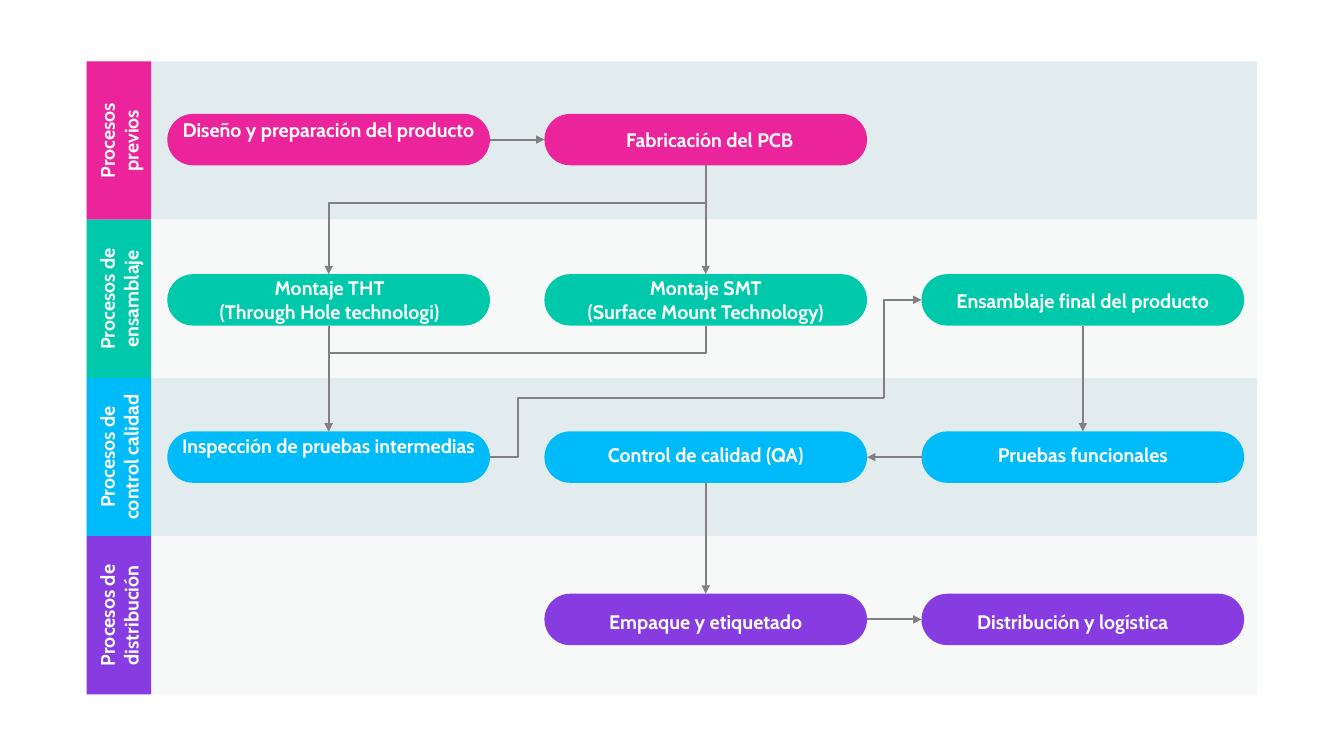
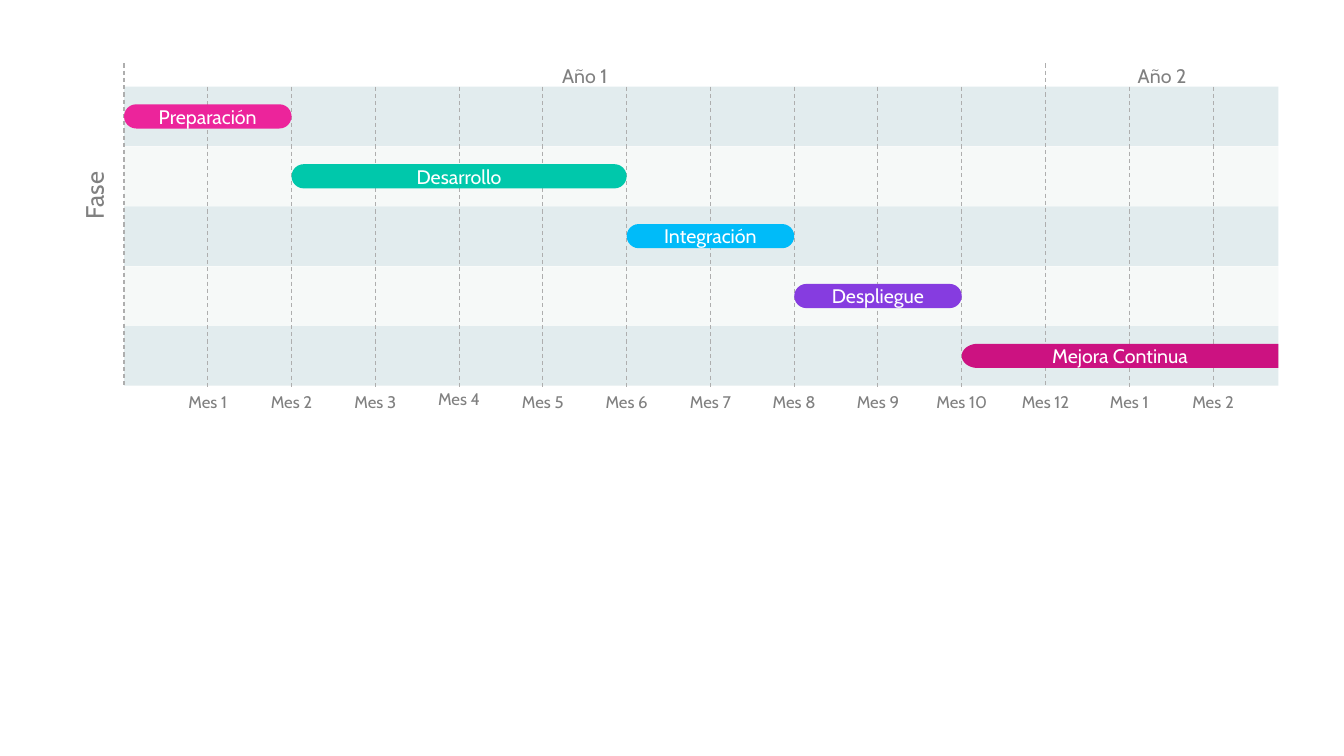
import math
import lxml.etree
import pptx
import pptx.util
import pptx.dml.color
import pptx.enum.dml
import pptx.enum.shapes
import pptx.enum.text
import pptx.oxml.ns

FONT = "Cabin"
WHITE, GRAY, RULE = "FFFFFF", "808080", "AEAEAE"
BANDS = "E2ECEE", "F6F9F8"
PINK, GREEN, BLUE, VIOLET, MAGENTA = "EC249B", "00C8AB", "00BBF9", "863CE0", "CC1281"

# Lane: label, colour, top of its steps; step: column, text, nudge of the text
LANES = [
    ("Procesos\nprevios", PINK, 1.13, [
        (0, "Diseño y preparación del producto", (0, -0.1)),
        (1, "Fabricación del PCB", (0.04, 0))]),
    ("Procesos de\nensamblaje", GREEN, 2.72, [
        (0, "Montaje THT\n(Through Hole technologi)", (0.01, 0)),
        (1, "Montaje SMT\n(Surface Mount Technology)", (0, 0)),
        (2, "Ensamblaje final del producto", (0, 0.01))]),
    ("Procesos de\ncontrol calidad", BLUE, 4.28, [
        (0, "Inspección de pruebas intermedias", (0, -0.11)),
        (1, "Control de calidad (QA)", (0, -0.02)),
        (2, "Pruebas funcionales", (0, -0.02))]),
    ("Procesos de\ndistribución", VIOLET, 5.89, [
        (1, "Empaque y etiquetado", (0, 0.02)),
        (2, "Distribución y logística", (-0.1, 0.02))]),
]
LANE_X, LANE_Y, LANE_W, LANE_H, TAB_W = 0.86, 0.61, 11.61, 1.57, 0.64
STEP_X, STEP_GAP, STEP_W, STEP_H = 1.66, 3.74, 3.2, 0.51

# Straight arrows between steps given as (lane, column), with the sides they join
TOP, LEFT, BOTTOM, RIGHT = range(4)
ARROWS = [
    ((0, 0), RIGHT, (0, 1), LEFT),
    ((0, 1), BOTTOM, (1, 1), TOP),
    ((1, 0), BOTTOM, (2, 0), TOP),
    ((1, 2), BOTTOM, (2, 2), TOP),
    ((2, 2), LEFT, (2, 1), RIGHT),
    ((2, 1), BOTTOM, (3, 1), TOP),
    ((3, 1), RIGHT, (3, 2), LEFT),
]

# Phase: name, colour, first month, length in months
PHASES = [
    ("Preparación", PINK, 0, 2),
    ("Desarrollo", GREEN, 2, 4),
    ("Integración", BLUE, 6, 2),
    ("Despliegue", VIOLET, 8, 2),
    ("Mejora Continua", MAGENTA, 10, None),
]
MONTHS = ["Mes 1", "Mes 2", "Mes 3", "Mes 4", "Mes 5", "Mes 6", "Mes 7",
          "Mes 8", "Mes 9", "Mes 10", "Mes 12", "Mes 1", "Mes 2"]
PLAN_X, PLAN_Y, PLAN_W, ROW_H = 1.23, 0.86, 11.45, 0.59
YEAR_Y, YEAR_W, YEAR_MONTHS = 0.63, 9.14, 11
MONTH_W = YEAR_W / YEAR_MONTHS
PLAN_ROW = 2.97 / len(PHASES)
BAR_H = 0.24

SHAPE = pptx.enum.shapes.MSO_SHAPE
LINK = pptx.enum.shapes.MSO_CONNECTOR
inch = pptx.util.Inches


def rgb(code):
    return pptx.dml.color.RGBColor.from_string(code)


def paint(shape, color):
    shape.shadow.inherit = False
    shape.fill.solid()
    shape.fill.fore_color.rgb = rgb(color)
    shape.line.fill.background()
    return shape


def block(slide, x, y, w, h, color, kind=SHAPE.RECTANGLE):
    shape = slide.shapes.add_shape(kind, inch(x), inch(y), inch(w), inch(h))
    if kind == SHAPE.ROUNDED_RECTANGLE:
        shape.adjustments[0] = 0.5
    return paint(shape, color)


def write(shape, text, size=14, color=WHITE, bold=False, wrap=True,
          upward=False, nudge=(0, 0)):
    """Centre text in a shape; nudge moves it by inches right and down."""
    frame = shape.text_frame
    frame.text = text
    frame.word_wrap = wrap
    frame.vertical_anchor = pptx.enum.text.MSO_ANCHOR.MIDDLE
    dx, dy = nudge
    frame.margin_left, frame.margin_right = inch(max(0, 2 * dx)), inch(max(0, -2 * dx))
    frame.margin_top, frame.margin_bottom = inch(max(0, 2 * dy)), inch(max(0, -2 * dy))
    if upward:
        shape.element.txBody.bodyPr.set("vert", "vert270")
    for para in frame.paragraphs:
        para.alignment = pptx.enum.text.PP_ALIGN.CENTER
        for run in para.runs:
            font = run.font
            font.name, font.size, font.bold = FONT, pptx.util.Pt(size), bold
            font.color.rgb = rgb(color)


def label(slide, x, y, w, h, text, **form):
    box = slide.shapes.add_textbox(inch(x), inch(y), inch(w), inch(h))
    write(box, text, color=GRAY, **form)


def link(slide, start, end, kind=LINK.STRAIGHT, color=GRAY, width=1.5,
         dash=False, head=True):
    line = slide.shapes.add_connector(kind, *map(inch, start + end))
    line.line.color.rgb = rgb(color)
    line.line.width = pptx.util.Pt(width)
    if dash:
        line.line.dash_style = pptx.enum.dml.MSO_LINE.DASH
    props, qn = line.element.spPr, pptx.oxml.ns.qn
    if head:
        lxml.etree.SubElement(props.find(qn("a:ln")), qn("a:tailEnd"), type="triangle")
    lxml.etree.SubElement(props, qn("a:effectLst"))
    return line


def elbow(slide, start, end, bend=None, upright=False, head=True):
    """Bent arrow; upright ones leave vertically, those without bend turn once."""
    (x1, y1), (x2, y2) = start, end
    if upright:  # turn the ends back a quarter about the middle
        mx, my = (x1 + x2) / 2, (y1 + y2) / 2
        start, end = [(mx + y - my, my - x + mx) for x, y in (start, end)]
    line = link(slide, start, end, LINK.ELBOW, head=head)
    props, qn = line.element.spPr, pptx.oxml.ns.qn
    if upright:
        props.find(qn("a:xfrm")).set("rot", "5400000")
    shape = props.find(qn("a:prstGeom"))
    if bend is None:
        shape.set("prst", "bentConnector2")
    else:
        lxml.etree.SubElement(shape.find(qn("a:avLst")), qn("a:gd"),
                              name="adj1", fmla=f"val {round(bend * 100000)}")


def open_bar(slide, x, y, w, h, color):
    """Bar with a round left end and a flat right end."""
    cap, steps = 0.16, 24
    arc = [(x + cap - cap * math.sin(math.pi * i / steps),
            y + h / 2 + h / 2 * math.cos(math.pi * i / steps))
           for i in range(steps + 1)]
    points = [(inch(px), inch(py)) for px, py in [(x + w, y), (x + w, y + h)] + arc]
    outline = slide.shapes.build_freeform(*points[0])
    outline.add_line_segments(points[1:], close=True)
    return paint(outline.convert_to_shape(), color)


def flow(slide):
    for row in range(len(LANES)):
        block(slide, LANE_X, LANE_Y + row * LANE_H, LANE_W, LANE_H, BANDS[row % 2])
    steps = {}
    for row, (name, color, top, items) in enumerate(LANES):
        tab = block(slide, LANE_X, LANE_Y + row * LANE_H, TAB_W, LANE_H, color)
        write(tab, name, bold=True, upward=True)
        for col, text, nudge in items:
            step = block(slide, STEP_X + col * STEP_GAP, top, STEP_W, STEP_H,
                         color, SHAPE.ROUNDED_RECTANGLE)
            write(step, text, bold=True, nudge=nudge)
            steps[row, col] = step
    for source, out, target, into in ARROWS:
        line = link(slide, (0, 0), (1, 1))
        line.begin_connect(steps[source], out)
        line.end_connect(steps[target], into)

    mids = [STEP_X + col * STEP_GAP + STEP_W / 2 for col in range(3)]
    tops = [lane[2] for lane in LANES]
    for row, bend in ((0, 0.35), (1, 0.26)):
        elbow(slide, (mids[1], tops[row] + STEP_H), (mids[0], tops[row + 1]),
              bend, upright=True)
    turn = (8.77, 3.95)
    elbow(slide, (STEP_X + STEP_W, tops[2] + STEP_H / 2), turn, 0.07, head=False)
    elbow(slide, turn, (STEP_X + 2 * STEP_GAP, tops[1] + STEP_H / 2), upright=True)


def plan(slide):
    for row in range(len(PHASES)):
        block(slide, PLAN_X, PLAN_Y + row * PLAN_ROW, PLAN_W, ROW_H, BANDS[row % 2])
    for col in range(len(MONTHS) + 1):
        x = PLAN_X + col * MONTH_W
        ends = (YEAR_Y, 3.82) if col % YEAR_MONTHS == 0 else (PLAN_Y, 3.86)
        link(slide, (x, ends[0]), (x, ends[1]), color=RULE, width=0.75,
             dash=True, head=False)
        if col:
            name = MONTHS[col - 1]
            top = 3.81 if name == "Mes 4" else 3.84
            label(slide, x - 0.36, top, 0.72, 0.3, name, size=12, wrap=False)
    for row, (name, color, first, months) in enumerate(PHASES):
        x = PLAN_X + first * MONTH_W
        y = PLAN_Y + row * PLAN_ROW + (ROW_H - BAR_H) / 2
        if months:
            bar = block(slide, x, y, months * MONTH_W, BAR_H, color,
                        SHAPE.ROUNDED_RECTANGLE)
        else:
            bar = open_bar(slide, x, y, PLAN_X + PLAN_W - x, BAR_H, color)
        write(bar, name)
    label(slide, PLAN_X, YEAR_Y, YEAR_W, BAR_H, "Año 1")
    label(slide, PLAN_X + YEAR_W, YEAR_Y, PLAN_W - YEAR_W, BAR_H, "Año 2")
    label(slide, 0.68, 1.63, 0.5, 0.62, "Fase", size=18, wrap=False, upward=True)


def main():
    deck = pptx.Presentation()
    deck.slide_width, deck.slide_height = inch(13.33), inch(7.5)
    for draw in (flow, plan):
        draw(deck.slides.add_slide(deck.slide_layouts[6]))
    deck.save("out.pptx")


if __name__ == "__main__":
    main()
